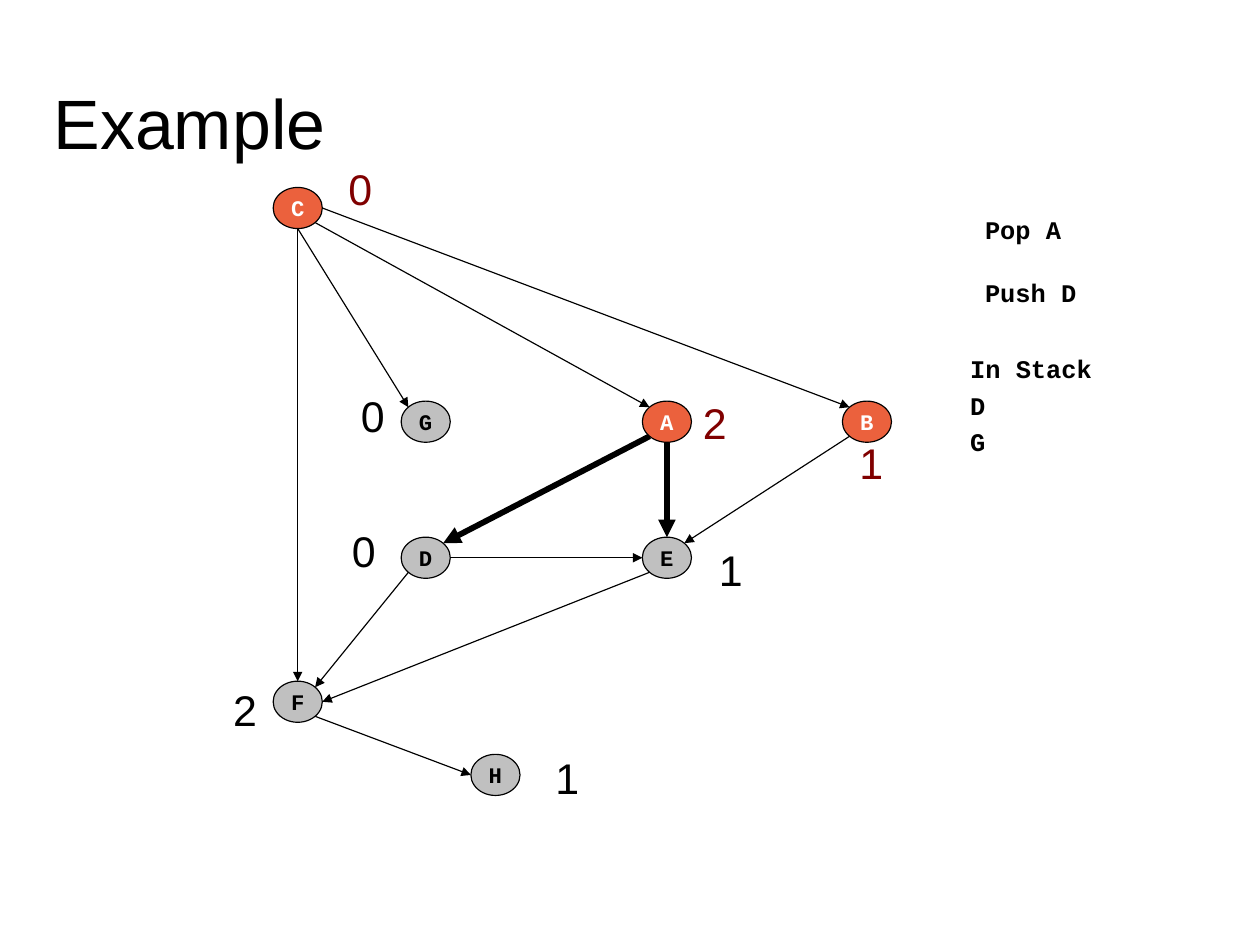
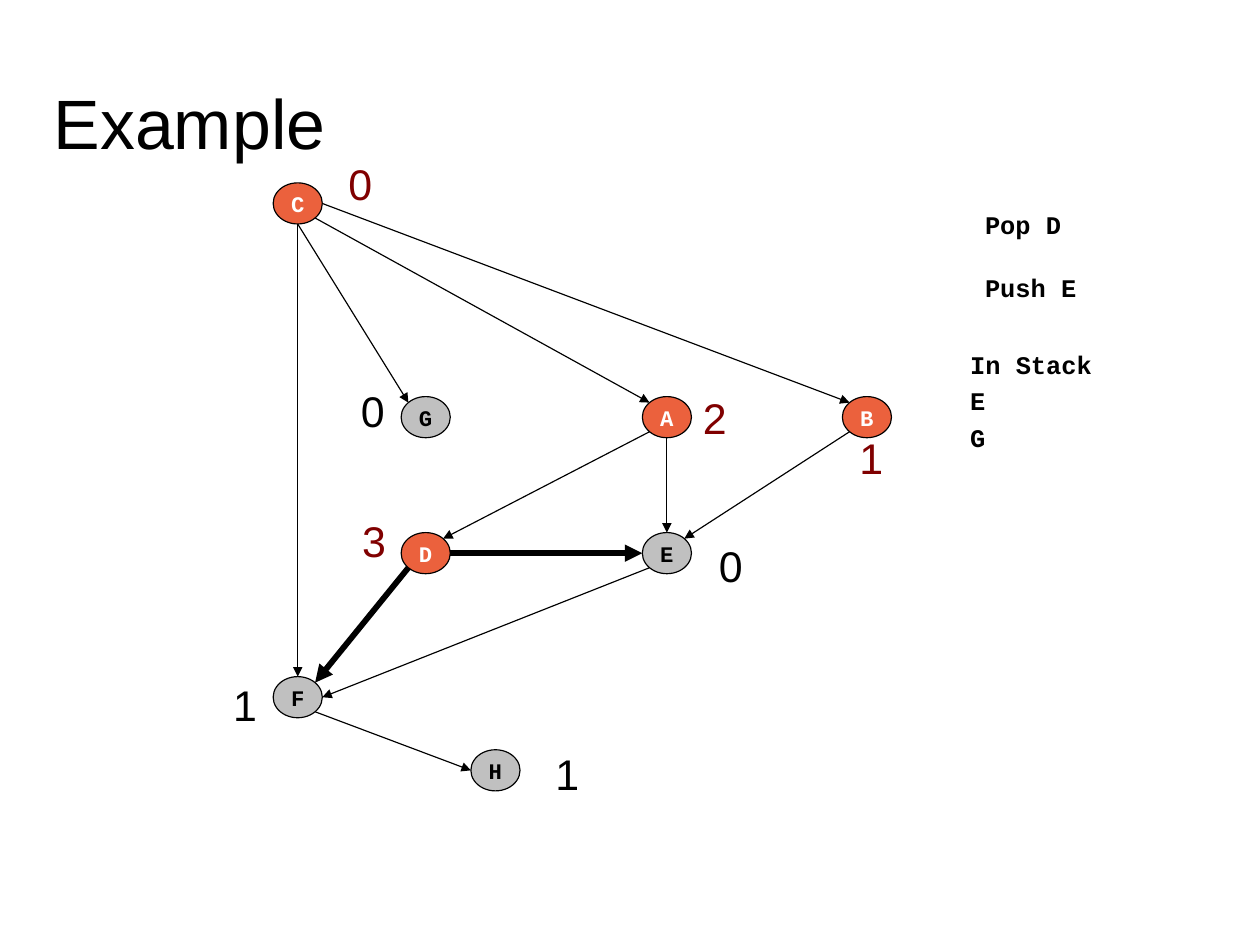
import dataclasses
import math

import pptx
import pptx.dml.color
import pptx.enum.shapes
import pptx.enum.text
import pptx.oxml
import pptx.oxml.ns
import pptx.util
from lxml import etree

EMU_PER_PX = 9144
SLIDE_WIDTH, SLIDE_HEIGHT = pptx.util.Cm(28), pptx.util.Cm(21)
NODE_WIDTH, NODE_HEIGHT = 43, 36
COUNT_SIZE = (45, 56)


@dataclasses.dataclass(frozen=True)
class Theme:
    black: str = "000000"
    white: str = "FFFFFF"
    waiting: str = "C0C0C0"
    visited: str = "EB613D"
    visited_count: str = "800000"
    sans: str = "Arial"
    mono: str = "Courier New"
    title_size: int = 44
    count_size: int = 27
    log_size: int = 16
    node_size: int = 14
    thin: float = 0.75
    heavy: float = 3.69


@dataclasses.dataclass(frozen=True)
class Step:
    """One state of the sort; lift raises the whole diagram."""
    lift: int
    popped: str
    pushed: str
    stack: tuple
    visited: str
    counts: dict
    heavy_edges: tuple
    moved_counts: dict


THEME = Theme()

NODES = {
    "C": (239, 164), "G": (351, 351), "A": (562, 351), "B": (737, 351),
    "D": (351, 470), "E": (562, 470), "F": (239, 596), "H": (412, 660),
}
COUNT_PLACES = {
    "C": (295, 137), "G": (306, 336), "A": (605, 342), "B": (742, 377),
    "D": (298, 454), "E": (619, 471), "F": (194, 593), "H": (476, 653),
}
# Start node, side it leaves from, end node, side it arrives at.
EDGES = (
    ("C", "S", "F", "N"), ("C", "S", "G", "NW"), ("C", "SE", "A", "NW"),
    ("C", "E", "B", "NW"), ("A", "SW", "D", "NE"), ("A", "S", "E", "N"),
    ("B", "SW", "E", "NE"), ("D", "E", "E", "W"), ("D", "SW", "F", "NE"),
    ("E", "SW", "F", "E"), ("F", "SE", "H", "W"),
)
SIDES = ("E", "SE", "S", "SW", "W", "NW", "N", "NE")

STEPS = (
    Step(0, "A", "D", ("D", "G"), "CAB",
         dict(C=0, G=0, A=2, B=1, D=0, E=1, F=2, H=1), ("AD", "AE"), {}),
    Step(4, "D", "E", ("E", "G"), "CABD",
         dict(C=0, G=0, A=2, B=1, D=3, E=0, F=1, H=1), ("DE", "DF"),
         {"D": (307, 449)}),
)


def px(length):
    return pptx.util.Emu(round(length * EMU_PER_PX))


def rgb(color):
    return pptx.dml.color.RGBColor.from_string(color)


def set_font(paragraph, name, size, color, bold=False):
    font = paragraph.font
    font.name, font.size, font.bold = name, pptx.util.Pt(size), bold
    font.color.rgb = rgb(color)


def add_text(slide, box, lines, font, size, color=THEME.black, bold=False,
             spacing=1.0, wrap=True):
    shape = slide.shapes.add_textbox(*map(px, box))
    frame = shape.text_frame
    frame.word_wrap = wrap
    frame.text = "\n".join(lines)
    for paragraph in frame.paragraphs:
        paragraph.line_spacing = spacing
        set_font(paragraph, font, size, color, bold)
    return frame


def add_title(slide, text):
    frame = add_text(slide, (47, 71, 772, 71), [text], THEME.sans,
                     THEME.title_size)
    frame.vertical_anchor = pptx.enum.text.MSO_ANCHOR.MIDDLE
    frame.margin_left = frame.margin_right = 0
    frame.margin_top = frame.margin_bottom = 0


def add_log(slide, box, *lines):
    add_text(slide, box, lines, THEME.mono, THEME.log_size, bold=True,
             spacing=1.2, wrap=False)


def add_node(slide, name, step):
    left, top = NODES[name]
    shape = slide.shapes.add_shape(
        pptx.enum.shapes.MSO_SHAPE.OVAL,
        *map(px, (left, top - step.lift, NODE_WIDTH, NODE_HEIGHT)))
    visited = name in step.visited
    shape.shadow.inherit = False
    shape.fill.solid()
    shape.fill.fore_color.rgb = rgb(THEME.visited if visited else THEME.waiting)
    shape.line.color.rgb = rgb(THEME.black)
    shape.line.width = pptx.util.Pt(THEME.thin)
    frame = shape.text_frame
    frame.word_wrap = False
    frame.vertical_anchor = pptx.enum.text.MSO_ANCHOR.MIDDLE
    frame.text = name
    paragraph = frame.paragraphs[0]
    paragraph.alignment = pptx.enum.text.PP_ALIGN.CENTER
    set_font(paragraph, THEME.mono, THEME.node_size,
             THEME.white if visited else THEME.black, bold=True)


def add_count(slide, name, step):
    left, top = step.moved_counts.get(name, COUNT_PLACES[name])
    color = THEME.visited_count if name in step.visited else THEME.black
    add_text(slide, (left, top - step.lift, *COUNT_SIZE),
             [str(step.counts[name])], THEME.sans, THEME.count_size, color)


def rim_point(name, side, lift):
    """Point where an edge meets the rim of a node."""
    left, top = NODES[name]
    angle = SIDES.index(side) * math.pi / 4
    return (left + NODE_WIDTH / 2 * (1 + math.cos(angle)),
            top - lift + NODE_HEIGHT / 2 * (1 + math.sin(angle)))


def add_edge(slide, edge, step):
    start, start_side, end, end_side = edge
    points = (*rim_point(start, start_side, step.lift),
              *rim_point(end, end_side, step.lift))
    connector = slide.shapes.add_connector(
        pptx.enum.shapes.MSO_CONNECTOR.STRAIGHT, *map(px, points))
    heavy = start + end in step.heavy_edges
    connector.line.color.rgb = rgb(THEME.black)
    connector.line.width = pptx.util.Pt(THEME.heavy if heavy else THEME.thin)
    qn = pptx.oxml.ns.qn
    properties = connector._element.spPr
    etree.SubElement(properties.find(qn("a:ln")), qn("a:tailEnd"),
                     type="triangle")
    etree.SubElement(properties, qn("a:effectLst"))


def add_step_slide(presentation, step):
    slide = presentation.slides.add_slide(presentation.slide_layouts[6])
    add_title(slide, "Example")
    for edge in EDGES:
        add_edge(slide, edge, step)
    for name in NODES:
        add_node(slide, name, step)
        add_count(slide, name, step)
    add_log(slide, (852, 177 - step.lift, 87, 42), f"Pop {step.popped}")
    add_log(slide, (852, 232 - step.lift, 100, 42), f"Push {step.pushed}")
    add_log(slide, (839, 299 - step.lift, 127, 106), "In Stack", *step.stack)


def main():
    presentation = pptx.Presentation()
    presentation.slide_width = SLIDE_WIDTH
    presentation.slide_height = SLIDE_HEIGHT
    for step in STEPS:
        add_step_slide(presentation, step)
    presentation.save("out.pptx")


if __name__ == "__main__":
    main()
